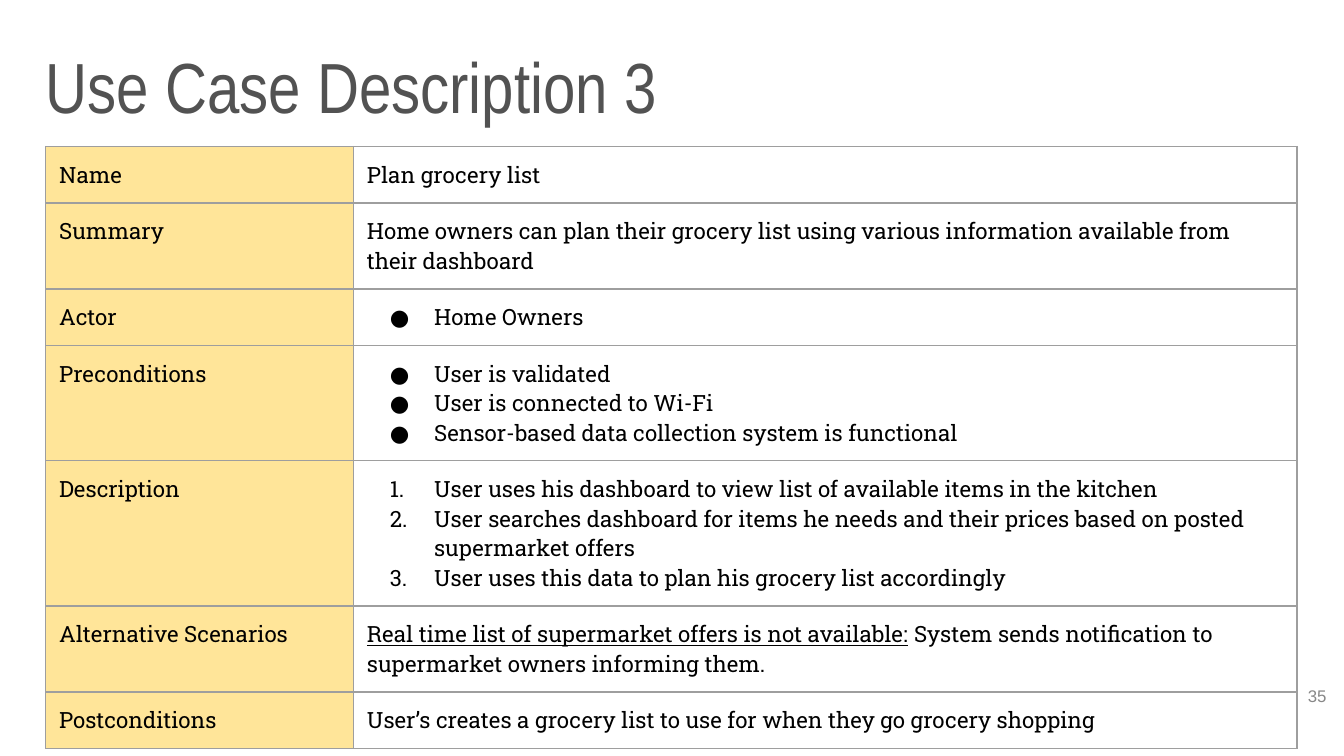
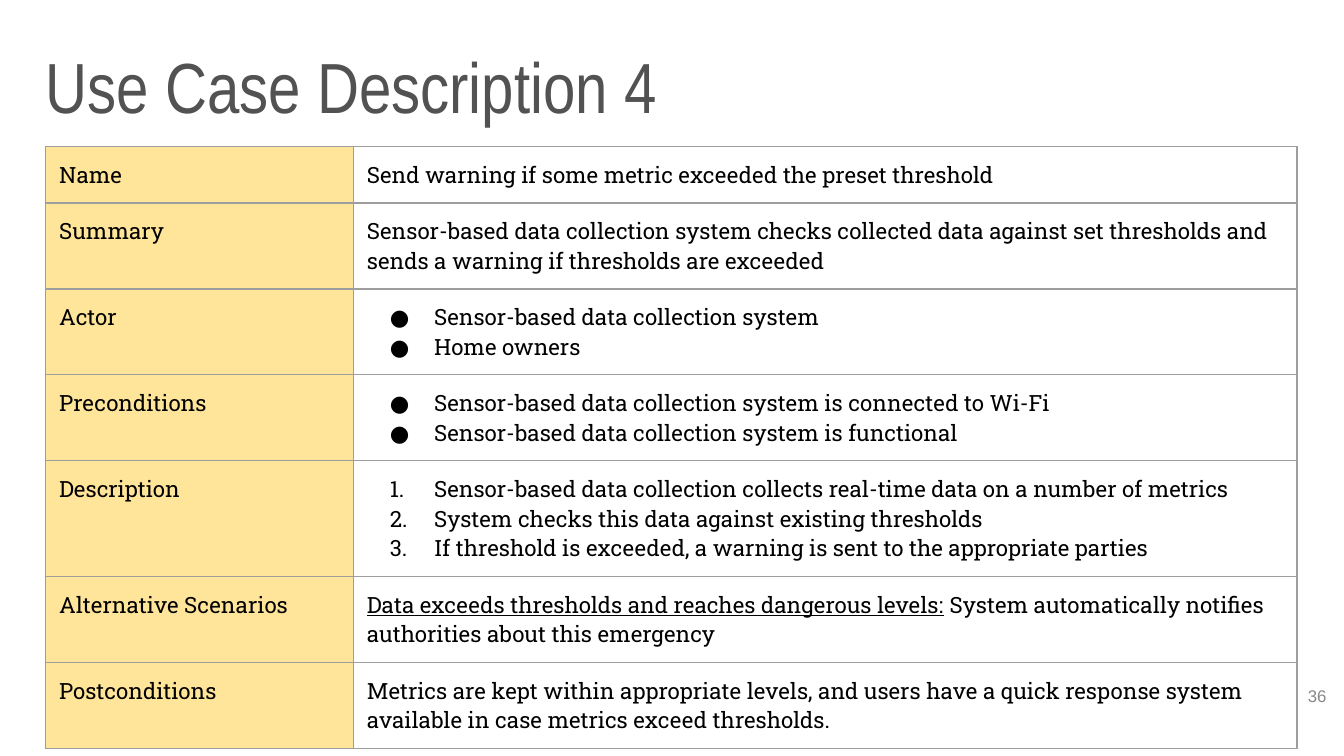
from dataclasses import dataclass
from itertools import product
from typing import Any

from lxml.etree import SubElement
from pptx import Presentation
from pptx.dml.color import RGBColor
from pptx.enum.text import MSO_ANCHOR, PP_ALIGN
from pptx.oxml.ns import qn
from pptx.util import Inches, Pt

WIDE, HIGH = 100, 56.25
LEFT = 3.4
PAD = 1
LINE = 2.2
INK, EDGE, GOLD = "000000", "9E9E9E", "FFE599"
DOT, STEP = "dot", "step"


@dataclass(frozen=True)
class Style:
    font: str
    size: int
    tint: str


@dataclass(frozen=True)
class Box:
    left: float
    top: float
    width: float
    height: float
    style: Style
    align: Any = PP_ALIGN.LEFT
    anchor: Any = MSO_ANCHOR.TOP


@dataclass(frozen=True)
class Row:
    label: str
    items: tuple[str, ...]
    lines: int = 1
    mark: str = ""
    lead: str = ""


@dataclass(frozen=True)
class Page:
    title: str
    number: str
    rows: tuple[Row, ...]


BODY = Style("Roboto Slab", 12, INK)
TITLE = Box(LEFT, 3.2, 93.2, 6.3, Style("Arial Narrow", 38, "525252"),
            anchor=MSO_ANCHOR.BOTTOM)
FOOTER = Box(92.7, 51, 6, 4.3, Style("Arial", 9, "888888"), PP_ALIGN.RIGHT)
SPANS = (22.9, 70.2)
TOP = 10.9

PAGES = (
    Page("Use Case Description 3", "35", (
        Row("Name", ("Plan grocery list",)),
        Row("Summary", ("Home owners can plan their grocery list using various "
                        "information available from their dashboard",), 2),
        Row("Actor", ("Home Owners",), 1, DOT),
        Row("Preconditions", (
            "User is validated",
            "User is connected to Wi-Fi",
            "Sensor-based data collection system is functional"), 3, DOT),
        Row("Description", (
            "User uses his dashboard to view list of available items in the kitchen",
            "User searches dashboard for items he needs and their prices based on "
            "posted supermarket offers",
            "User uses this data to plan his grocery list accordingly"), 4, STEP),
        Row("Alternative Scenarios",
            (" System sends notification to supermarket owners informing them.",), 2,
            lead="Real time list of supermarket offers is not available:"),
        Row("Postconditions", (
            "User’s creates a grocery list to use for when they go grocery shopping",)),
    )),
    Page("Use Case Description 4", "36", (
        Row("Name", ("Send warning if some metric exceeded the preset threshold",)),
        Row("Summary", ("Sensor-based data collection system checks collected data against "
                        "set thresholds and sends a warning if thresholds are exceeded",), 2),
        Row("Actor", ("Sensor-based data collection system", "Home owners"), 2, DOT),
        Row("Preconditions", (
            "Sensor-based data collection system is connected to Wi-Fi",
            "Sensor-based data collection system is functional"), 2, DOT),
        Row("Description", (
            "Sensor-based data collection collects real-time data on a number of metrics",
            "System checks this data against existing thresholds",
            "If threshold is exceeded, a warning is sent to the appropriate parties"), 3, STEP),
        Row("Alternative Scenarios",
            (" System automatically notifies authorities about this emergency",), 2,
            lead="Data exceeds thresholds and reaches dangerous levels:"),
        Row("Postconditions", (
            "Metrics are kept within appropriate levels, and users have a quick response "
            "system available in case metrics exceed thresholds.",), 2),
    )),
)


def unit(count: float) -> int:
    return Inches(count * 10 / WIDE)


def tint(code: str) -> RGBColor:
    return RGBColor.from_string(code)


def apply(target: Any, values: dict[str, Any]) -> None:
    for name, value in values.items():
        setattr(target, name, value)


def add_run(para: Any, text: str, style: Style, under: bool = False) -> None:
    run = para.add_run()
    run.text = text
    apply(run.font, {"name": style.font, "size": Pt(style.size), "underline": under})
    run.font.color.rgb = tint(style.tint)


def add_mark(para: Any, mark: str) -> None:
    props = para._p.get_or_add_pPr()
    props.set("marL", str(unit(5)))
    props.set("indent", str(-unit(3.3)))
    paint = SubElement(props, qn("a:buClr"))
    SubElement(paint, qn("a:srgbClr"), val=INK)
    SubElement(props, qn("a:buFont"), typeface=BODY.font)
    if mark == DOT:
        SubElement(props, qn("a:buChar"), char="●")
    else:
        SubElement(props, qn("a:buAutoNum"), type="arabicPeriod")


def add_edge(cell: Any) -> None:
    props = cell._tc.get_or_add_tcPr()
    for side in ("lnL", "lnR", "lnT", "lnB"):
        line = SubElement(props, qn(f"a:{side}"), w=str(Pt(0.75)))
        fill = SubElement(line, qn("a:solidFill"))
        SubElement(fill, qn("a:srgbClr"), val=EDGE)


def add_text(slide: Any, box: Box, text: str) -> None:
    shape = slide.shapes.add_textbox(*map(unit, (box.left, box.top, box.width, box.height)))
    frame = shape.text_frame
    apply(frame, {"word_wrap": True, "vertical_anchor": box.anchor,
                  "margin_left": 0, "margin_right": 0,
                  "margin_top": 0, "margin_bottom": 0})
    para = frame.paragraphs[0]
    para.alignment = box.align
    add_run(para, text, box.style)


def fill_cell(cell: Any, row: Row, first: bool) -> None:
    add_edge(cell)
    pad = unit(PAD)
    apply(cell, {"margin_left": pad, "margin_right": pad,
                 "margin_top": pad, "margin_bottom": pad})
    if first:
        cell.fill.solid()
        cell.fill.fore_color.rgb = tint(GOLD)
    else:
        cell.fill.background()
    frame = cell.text_frame
    for spot, item in enumerate((row.label,) if first else row.items):
        para = frame.add_paragraph() if spot else frame.paragraphs[0]
        if row.mark and not first:
            add_mark(para, row.mark)
        if row.lead and not first:
            add_run(para, row.lead, BODY, True)
        add_run(para, item, BODY)


def add_grid(slide: Any, rows: tuple[Row, ...]) -> None:
    heights = [2 * PAD + LINE * row.lines for row in rows]
    grid = slide.shapes.add_table(
        len(rows), len(SPANS), unit(LEFT), unit(TOP),
        unit(sum(SPANS)), unit(sum(heights))).table
    apply(grid, {"first_row": False, "horz_banding": False})
    for band, span in zip(grid.columns, SPANS):
        band.width = unit(span)
    for band, height in zip(grid.rows, heights):
        band.height = unit(height)
    for (down, row), across in product(enumerate(rows), range(len(SPANS))):
        fill_cell(grid.cell(down, across), row, across == 0)


def main() -> None:
    deck = Presentation()
    apply(deck, {"slide_width": unit(WIDE), "slide_height": unit(HIGH)})
    for page in PAGES:
        slide = deck.slides.add_slide(deck.slide_layouts[6])
        add_text(slide, TITLE, page.title)
        add_grid(slide, page.rows)
        add_text(slide, FOOTER, page.number)
    deck.save("out.pptx")


if __name__ == "__main__":
    main()
